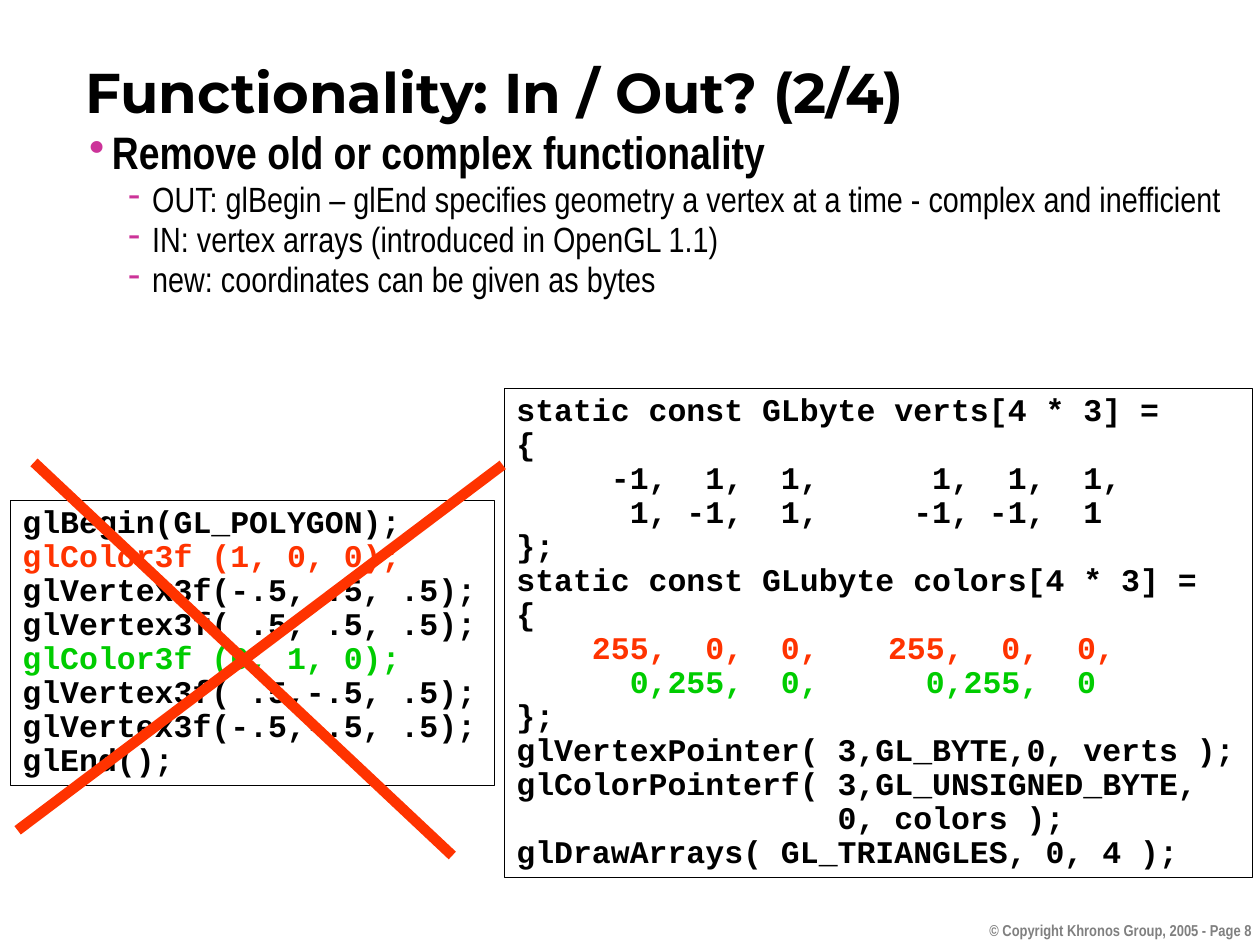
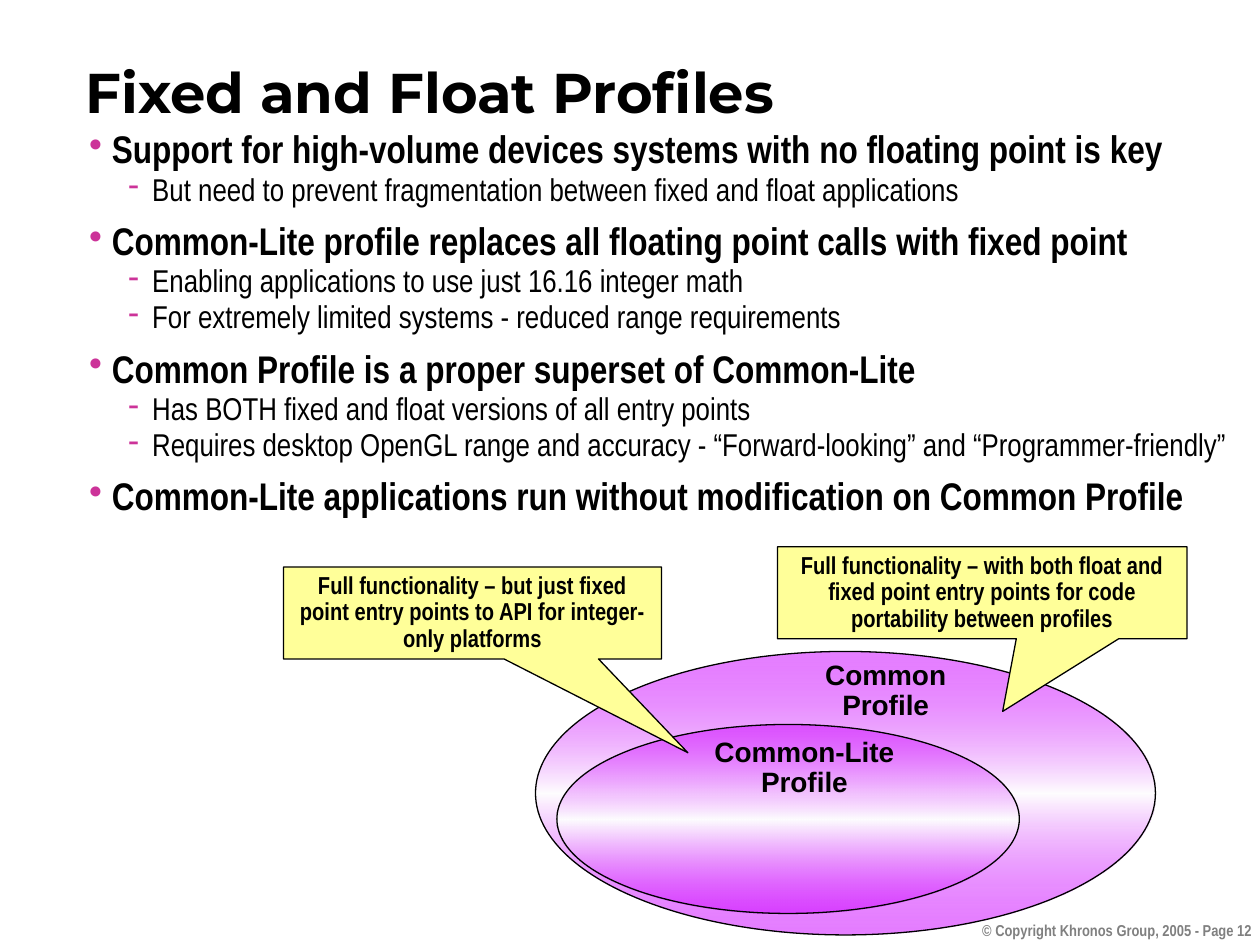
from lxml import etree
from pptx import Presentation
from pptx.dml.color import RGBColor
from pptx.enum.shapes import MSO_CONNECTOR, MSO_SHAPE
from pptx.enum.text import MSO_ANCHOR, PP_ALIGN
from pptx.oxml import parse_xml
from pptx.oxml.ns import nsdecls, qn
from pptx.util import Inches, Pt

BLACK = RGBColor(0x00, 0x00, 0x00)
GREY = RGBColor(0x80, 0x80, 0x80)
MAGENTA = RGBColor(0xCC, 0x33, 0x99)
RED = RGBColor(0xFF, 0x33, 0x00)
GREEN = RGBColor(0x00, 0xCC, 0x00)
YELLOW = RGBColor(0xFF, 0xFF, 0x99)
VIOLET = RGBColor(0xCC, 0x00, 0xFF)
NEAR_WHITE = RGBColor(0xFE, 0xFE, 0xFE)

NARROW = "Arial Narrow"
BULLETS = [("•", 0.18, -0.18), ("-", 0.5, -0.19)]  # mark, margin, indent per level


def write_lines(shape, lines, font, size, color=BLACK, align=PP_ALIGN.LEFT,
                anchor=MSO_ANCHOR.TOP, spacing=0.9, wrap=True):
    """Write bold lines; a line is a string or a (string, colour) pair."""
    frame = shape.text_frame
    frame.word_wrap = wrap
    frame.vertical_anchor = anchor
    for index, line in enumerate(lines):
        text, line_color = line if isinstance(line, tuple) else (line, color)
        paragraph = frame.add_paragraph() if index else frame.paragraphs[0]
        paragraph.text = text
        paragraph.alignment = align
        paragraph.line_spacing = spacing
        for run in paragraph.runs:
            run.font.name = font
            run.font.size = Pt(size)
            run.font.bold = True
            run.font.color.rgb = line_color
    return frame.paragraphs


def add_outlined(slide, kind, place, line_width, fill=None):
    shape = slide.shapes.add_shape(kind, *map(Inches, place))
    shape.shadow.inherit = False
    shape.line.color.rgb = BLACK
    shape.line.width = Pt(line_width)
    if fill is None:
        shape.fill.background()
    else:
        shape.fill.solid()
        shape.fill.fore_color.rgb = fill
    return shape


presentation = Presentation()
presentation.slide_width = Inches(10)
presentation.slide_height = Inches(7.5)

# Title, page number, sizes of the two text levels, space before, bullets
PAGES = [
    ("Functionality: In / Out? (2/4)", 8, (26, 20), 8.1, [
        (0, "Remove old or complex functionality"),
        (1, "OUT: glBegin – glEnd specifies geometry a vertex at a time - complex and inefficient"),
        (1, "IN: vertex arrays (introduced in OpenGL 1.1)"),
        (1, "new: coordinates can be given as bytes"),
    ]),
    ("Fixed and Float Profiles", 12, (22, 18), 6.9, [
        (0, "Support for high-volume devices systems with no floating point is key"),
        (1, "But need to prevent fragmentation between fixed and float applications"),
        (0, "Common-Lite profile replaces all floating point calls with fixed point"),
        (1, "Enabling applications to use just 16.16 integer math"),
        (1, "For extremely limited systems - reduced range requirements"),
        (0, "Common Profile is a proper superset of Common-Lite"),
        (1, "Has BOTH fixed and float versions of all entry points"),
        (1, "Requires desktop OpenGL range and accuracy - “Forward-looking” and “Programmer-friendly”"),
        (0, "Common-Lite applications run without modification on Common Profile"),
    ]),
]

# Shared parts: footer, title and bulleted body
slides = []
for title, page, sizes, space_before, items in PAGES:
    slide = presentation.slides.add_slide(presentation.slide_layouts[6])
    slides.append(slide)
    footer_box, title_box, body_box = [
        slide.shapes.add_textbox(*map(Inches, place))
        for place in [(7.64, 7.26, 2.39, 0.33), (0.58, 0.51, 9.37, 0.42), (0.61, 0.97, 9.39, 6.11)]
    ]
    write_lines(footer_box, [f"© Copyright Khronos Group, 2005 - Page {page}"],
                NARROW, 9, GREY, PP_ALIGN.RIGHT, spacing=1.0)
    write_lines(title_box, [title], "Montserrat", 32, anchor=MSO_ANCHOR.MIDDLE, spacing=1.0)
    paragraphs = write_lines(body_box, [text for level, text in items], NARROW, sizes[0], spacing=0.95)
    for index, (paragraph, (level, text)) in enumerate(zip(paragraphs, items)):
        mark, margin, indent = BULLETS[level]
        paragraph.level = level
        if index and level == 0:
            paragraph.space_before = Pt(space_before)
        properties = paragraph._p.get_or_add_pPr()
        properties.set("marL", str(Inches(margin)))
        properties.set("indent", str(Inches(indent)))
        bullet_color = etree.SubElement(properties, qn("a:buClr"))
        etree.SubElement(bullet_color, qn("a:srgbClr"), val=str(MAGENTA))
        etree.SubElement(properties, qn("a:buChar"), char=mark)
        paragraph.runs[0].font.size = Pt(sizes[level])
        paragraph.runs[0].font.bold = level == 0

code_slide, profile_slide = slides

# Code boxes: immediate mode against vertex arrays
IMMEDIATE_CODE = [
    "glBegin(GL_POLYGON);",
    ("glColor3f (1, 0, 0);", RED),
    "glVertex3f(-.5, .5, .5);",
    "glVertex3f( .5, .5, .5);",
    ("glColor3f (0, 1, 0);", GREEN),
    "glVertex3f( .5,-.5, .5);",
    "glVertex3f(-.5,-.5, .5);",
    "glEnd();",
]
ARRAY_CODE = [
    "static const GLbyte verts[4 * 3] =",
    "{",
    "     -1,  1,  1,      1,  1,  1,",
    "      1, -1,  1,     -1, -1,  1",
    "};",
    "static const GLubyte colors[4 * 3] =",
    "{",
    ("    255,  0,  0,\t   255,  0,  0,", RED),
    ("      0,255,  0,\t     0,255,  0", GREEN),
    "};",
    "glVertexPointer( 3,GL_BYTE,0, verts );",
    "glColorPointerf( 3,GL_UNSIGNED_BYTE,",
    "                 0, colors );",
    "glDrawArrays( GL_TRIANGLES, 0, 4 );",
]
for place, code in [((0.08, 3.97, 3.84, 2.26), IMMEDIATE_CODE), ((4, 3.08, 5.94, 3.88), ARRAY_CODE)]:
    code_box = add_outlined(code_slide, MSO_SHAPE.RECTANGLE, place, 0.25)
    for paragraph in write_lines(code_box, code, "Courier New", 18):
        if "\t" in paragraph.text:
            tabs = etree.SubElement(paragraph._p.get_or_add_pPr(), qn("a:tabLst"))
            etree.SubElement(tabs, qn("a:tab"), pos=str(Inches(2.5)), algn="l")

# Red cross over the immediate mode code
for ends in [(0.14, 6.59, 3.99, 3.69), (0.27, 3.67, 3.59, 6.79)]:
    stroke = code_slide.shapes.add_connector(MSO_CONNECTOR.STRAIGHT, *map(Inches, ends))
    stroke.line.color.rgb = RED
    stroke.line.width = Pt(6)
    etree.SubElement(stroke._element.spPr, qn("a:effectLst"))

# Nested profile ellipses, each with its label
HALF_VIOLET = f'<a:srgbClr val="{VIOLET}"><a:alpha val="50000"/></a:srgbClr>'
GRADIENT = (
    f'<a:gradFill {nsdecls("a")} rotWithShape="1"><a:gsLst>'
    f'<a:gs pos="0">{HALF_VIOLET}</a:gs>'
    f'<a:gs pos="50000"><a:srgbClr val="{NEAR_WHITE}"/></a:gs>'
    f'<a:gs pos="100000">{HALF_VIOLET}</a:gs>'
    '</a:gsLst><a:lin ang="5400000" scaled="1"/></a:gradFill>'
)
PROFILES = [
    ((4.25, 5.17, 4.92, 2.25), (6.45, 5.2, 1.16, 0.58), "Common"),
    ((4.42, 5.75, 3.67, 1.5), (5.57, 5.81, 1.63, 0.58), "Common-Lite"),
]
for ellipse_place, label_place, name in PROFILES:
    ellipse = add_outlined(profile_slide, MSO_SHAPE.OVAL, ellipse_place, 0.75)
    ellipse_properties = ellipse._element.spPr
    ellipse_properties.replace(ellipse_properties.find(qn("a:noFill")), parse_xml(GRADIENT))
    label = profile_slide.shapes.add_textbox(*map(Inches, label_place))
    write_lines(label, [name, "Profile"], "Arial", 16, align=PP_ALIGN.CENTER, wrap=False)

# Callouts pointing at the profiles
CALLOUTS = [
    ((2.25, 4.5, 3, 0.73), (0.57, 1.52),
     "Full functionality – but just fixed point entry points to API for integer-only platforms"),
    ((6.17, 4.34, 3.25, 0.73), (0.05, 1.29),
     "Full functionality – with both float and fixed point entry points for code portability between profiles"),
]
for place, tip, text in CALLOUTS:
    callout = add_outlined(profile_slide, MSO_SHAPE.RECTANGULAR_CALLOUT, place, 0.75, YELLOW)
    callout.adjustments[0], callout.adjustments[1] = tip
    write_lines(callout, [text], NARROW, 14, align=PP_ALIGN.CENTER, anchor=MSO_ANCHOR.MIDDLE)

presentation.save("out.pptx")
